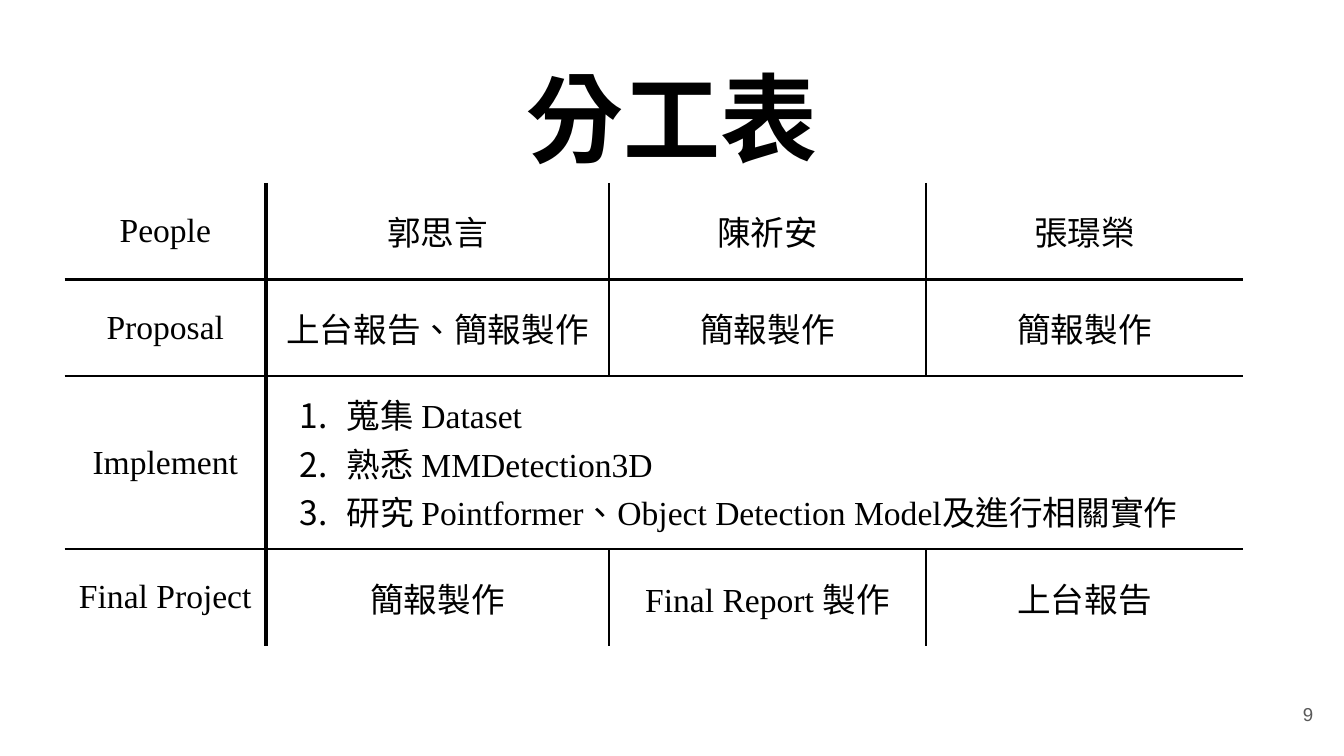
from lxml import etree
from pptx import Presentation
from pptx.dml.color import RGBColor
from pptx.enum.lang import MSO_LANGUAGE_ID
from pptx.enum.text import MSO_ANCHOR, MSO_AUTO_SIZE, PP_ALIGN
from pptx.oxml.ns import qn
from pptx.util import Inches, Pt

MIDDLE = MSO_ANCHOR.MIDDLE
NO_AUTOFIT = MSO_AUTO_SIZE.NONE
CENTER, LEFT, RIGHT = PP_ALIGN.CENTER, PP_ALIGN.LEFT, PP_ALIGN.RIGHT
TAIWAN = MSO_LANGUAGE_ID.TRADITIONAL_CHINESE
COLORS = {"ink": "000000", "page": "595959"}
THICK, THIN = 2.25, 1
PADDING = Inches(0.1)


def style_paragraph(paragraph, font, size, color, align, bold=False):
    paragraph.alignment = align
    for run in paragraph.runs:
        run.font.name = font
        run.font.size = Pt(size)
        run.font.bold = bold
        run.font.language_id = TAIWAN
        run.font.color.rgb = RGBColor.from_string(COLORS[color])


def set_borders(cell, widths):
    """Set left, right, top and bottom borders; a width of 0 hides one."""
    properties = cell._tc.get_or_add_tcPr()
    for index, (side, width) in enumerate(zip("LRTB", widths)):
        line = etree.Element(qn(f"a:ln{side}"), w=str(Pt(width)))
        if width:
            fill = etree.SubElement(line, qn("a:solidFill"))
            etree.SubElement(fill, qn("a:srgbClr"), val=COLORS["ink"])
        else:
            etree.SubElement(line, qn("a:noFill"))
        properties.insert(index, line)


# A 16:9 slide, 10 inches wide
prs = Presentation()
prs.slide_width = Inches(10)
prs.slide_height = Inches(10 * 9 / 16)
slide = prs.slides.add_slide(prs.slide_layouts[5])

# Title
title = slide.shapes.title
title.left, title.top = Inches(0.34), Inches(0.49)
title.width, title.height = Inches(9.32), Inches(0.63)
title.text_frame.text = "分工表"
heading = title.text_frame.paragraphs[0]
heading.line_spacing = 1.15
heading.space_before = heading.space_after = Pt(3)
style_paragraph(heading, "Calibri", 52, "ink", CENTER, bold=True)

# Division of work
rows = [
    ["People", "郭思言", "陳祈安", "張璟榮"],
    ["Proposal", "上台報告、簡報製作", "簡報製作", "簡報製作"],
    ["Implement",
     "蒐集 Dataset\n熟悉 MMDetection3D\n"
     "研究 Pointformer、Object Detection Model及進行相關實作", "", ""],
    ["Final Project", "簡報製作", "Final Report 製作", "上台報告"],
]
column_widths = [1.5, 2.55, 2.36, 2.36]
row_heights = [0.72, 0.72, 1.11, 0.72]
vertical_rules = [0, THICK, THIN, THIN, 0]
horizontal_rules = [0, THICK, THIN, THIN, 0]
shared_row = 2

table = slide.shapes.add_table(
    len(rows), len(column_widths), Inches(0.48), Inches(1.36),
    Inches(sum(column_widths)), Inches(sum(row_heights))).table
table.first_row = table.horz_banding = False
for column, width in zip(table.columns, column_widths):
    column.width = Inches(width)
for row, height in zip(table.rows, row_heights):
    row.height = Inches(height)
table.cell(shared_row, 1).merge(table.cell(shared_row, 3))

for r, texts in enumerate(rows):
    for c, text in enumerate(texts):
        cell = table.cell(r, c)
        cell.fill.background()
        left, right = vertical_rules[c:c + 2]
        if r == shared_row:
            left = left if c < 2 else 0
            right = right if c < 1 else 0
        set_borders(cell, [left, right, *horizontal_rules[r:r + 2]])
        if cell.is_spanned:
            continue
        cell.vertical_anchor = MIDDLE
        cell.margin_left = cell.margin_right = PADDING
        cell.margin_top = cell.margin_bottom = PADDING
        cell.text_frame.text = text
        is_list = cell.is_merge_origin
        for paragraph in cell.text_frame.paragraphs:
            if is_list:
                numbering = paragraph._p.get_or_add_pPr()
                numbering.set("marL", str(Inches(0.5)))
                numbering.set("indent", str(Inches(-0.35)))
                bullet_color = etree.SubElement(numbering, qn("a:buClr"))
                etree.SubElement(bullet_color, qn("a:srgbClr"), val=COLORS["ink"])
                etree.SubElement(numbering, qn("a:buAutoNum"), type="arabicPeriod")
            style_paragraph(paragraph, "Times New Roman", 18, "ink",
                            LEFT if is_list else CENTER)

# Page number
page_number = slide.shapes.add_textbox(
    Inches(9.27), Inches(5.1), Inches(0.6), Inches(0.43))
page_number.text_frame.text = "9"
style_paragraph(page_number.text_frame.paragraphs[0], "Arial", 10, "page", RIGHT)

# Shared text frame settings
for frame in (title.text_frame, page_number.text_frame):
    frame.word_wrap = True
    frame.auto_size = NO_AUTOFIT
    frame.vertical_anchor = MIDDLE
    frame.margin_left = frame.margin_right = PADDING
    frame.margin_top = frame.margin_bottom = PADDING

prs.save("out.pptx")
